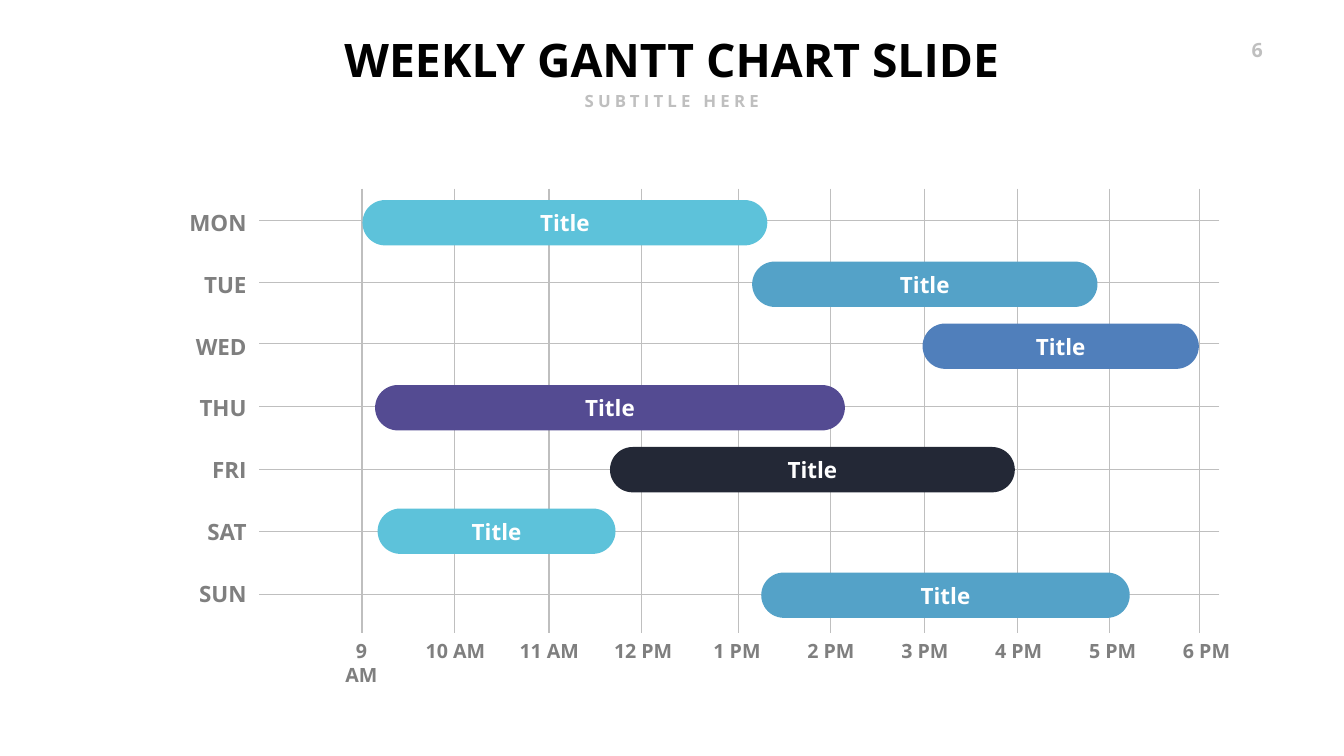
from dataclasses import dataclass

import lxml.etree
import pptx
import pptx.dml.color
import pptx.enum.shapes
import pptx.enum.text
import pptx.oxml.ns
import pptx.slide
import pptx.text.text
import pptx.util

Pt = pptx.util.Pt
Align = pptx.enum.text.PP_ALIGN
Anchor = pptx.enum.text.MSO_ANCHOR

FONT = "Open Sans"
COLORS = {
    "title": "000000",
    "light": "BFBFBF",
    "label": "7F7F7F",
    "white": "FFFFFF",
    "aqua": "5DC2DA",
    "sky": "54A2C8",
    "blue": "507FBB",
    "purple": "544B92",
    "navy": "232836",
}

GRID_TOP, GRID_BOTTOM = 269.3, 904.3
GRID_LEFT, GRID_RIGHT = 370.1, 1741.7
HOUR_CENTER, HOUR_PITCH = 516.2, 134.1
DAY_RIGHT, DAY_TOP, DAY_PITCH = 359.3, 295.2, 88.2
BAR_HEIGHT = 64.8


@dataclass
class Label:
    text: str
    left: float
    top: float
    width: float
    height: float
    size: float
    color: str
    align: Align = Align.CENTER
    anchor: Anchor = Anchor.TOP
    spacing: float = 0


@dataclass
class Hour:
    name: str
    line_x: float


@dataclass
class Day:
    name: str
    name_width: float
    line_y: float
    bar_left: float
    bar_top: float
    bar_width: float
    color: str


HOURS = [
    Hour("9 AM", 517),
    Hour("10 AM", 649.4),
    Hour("11 AM", 784.1),
    Hour("12 PM", 916.6),
    Hour("1 PM", 1054.1),
    Hour("2 PM", 1185.8),
    Hour("3 PM", 1320.5),
    Hour("4 PM", 1453),
    Hour("5 PM", 1584.7),
    Hour("6 PM", 1712.9),
]

DAYS = [
    Day("MON", 97.2, 314.6, 517.7, 285.8, 578.2, "aqua"),
    Day("TUE", 75.6, 403.9, 1074.2, 373.7, 493.2, "sky"),
    Day("WED", 87.8, 491, 1317.6, 462.2, 394.6, "blue"),
    Day("THU", 85, 580.3, 535.7, 550.1, 671, "purple"),
    Day("FRI", 64.1, 671, 871.2, 638.6, 578.2, "navy"),
    Day("SAT", 71.3, 759.6, 539.3, 726.5, 339.8, "aqua"),
    Day("SUN", 82.8, 848.9, 1087.2, 817.9, 526.3, "sky"),
]

HEADINGS = [
    Label("6", 1748.2, 50.4, 62.6, 41, 28, "light", Align.RIGHT, spacing=3),
    Label("WEEKLY GANTT CHART SLIDE", 480.2, 41.8, 959, 87.1, 66, "title"),
    Label("SUBTITLE HERE", 820.1, 126.7, 278.6, 36, 24, "light", spacing=6),
]


def rgb(name: str) -> pptx.dml.color.RGBColor:
    return pptx.dml.color.RGBColor.from_string(COLORS[name])


def write(frame: pptx.text.text.TextFrame, text: str, size: float, color: str,
          align: Align, spacing: float = 0) -> None:
    frame.word_wrap = False
    para = frame.paragraphs[0]
    para.alignment = align
    span = para.add_run()
    span.text = text
    span.font.name = FONT
    span.font.size = Pt(size)
    span.font.bold = True
    span.font.color.rgb = rgb(color)
    if spacing:
        span._r.get_or_add_rPr().set("spc", str(int(spacing * 100)))


def draw_label(page: pptx.slide.Slide, label: Label) -> None:
    box = page.shapes.add_textbox(
        Pt(label.left), Pt(label.top), Pt(label.width), Pt(label.height))
    frame = box.text_frame
    frame.auto_size = pptx.enum.text.MSO_AUTO_SIZE.SHAPE_TO_FIT_TEXT
    frame.vertical_anchor = label.anchor
    write(frame, label.text, label.size, label.color, label.align, label.spacing)


def draw_line(page: pptx.slide.Slide, x1: float, y1: float, x2: float, y2: float) -> None:
    line = page.shapes.add_connector(
        pptx.enum.shapes.MSO_CONNECTOR.STRAIGHT, Pt(x1), Pt(y1), Pt(x2), Pt(y2))
    line.line.color.rgb = rgb("light")
    line.line.width = Pt(1.5)
    lxml.etree.SubElement(line._element.spPr, pptx.oxml.ns.qn("a:effectLst"))


def draw_bar(page: pptx.slide.Slide, day: Day) -> None:
    bar = page.shapes.add_shape(
        pptx.enum.shapes.MSO_SHAPE.ROUNDED_RECTANGLE,
        Pt(day.bar_left), Pt(day.bar_top), Pt(day.bar_width), Pt(BAR_HEIGHT))
    bar.adjustments[0] = 0.5
    bar.shadow.inherit = False
    bar.fill.solid()
    bar.fill.fore_color.rgb = rgb(day.color)
    bar.line.fill.background()
    bar.text_frame.vertical_anchor = Anchor.MIDDLE
    write(bar.text_frame, "Title", 32, "white", Align.CENTER)


def main() -> None:
    deck = pptx.Presentation()
    deck.slide_width, deck.slide_height = Pt(1919.5), Pt(1080)
    page = deck.slides.add_slide(deck.slide_layouts[6])

    for heading in HEADINGS:
        draw_label(page, heading)

    for index, hour in enumerate(HOURS):
        width = 100 if len(hour.name) == 5 else 83
        left = HOUR_CENTER + index * HOUR_PITCH - width / 2
        draw_label(page, Label(hour.name, left, 909.4, width, 41, 28, "label"))
        draw_line(page, hour.line_x, GRID_TOP, hour.line_x, GRID_BOTTOM)

    for index, day in enumerate(DAYS):
        draw_label(page, Label(
            day.name, DAY_RIGHT - day.name_width, DAY_TOP + index * DAY_PITCH,
            day.name_width, 46.1, 32, "label", Align.RIGHT, Anchor.MIDDLE))
        draw_line(page, GRID_RIGHT, day.line_y, GRID_LEFT, day.line_y)

    for day in DAYS:
        draw_bar(page, day)

    deck.save("out.pptx")


if __name__ == "__main__":
    main()
